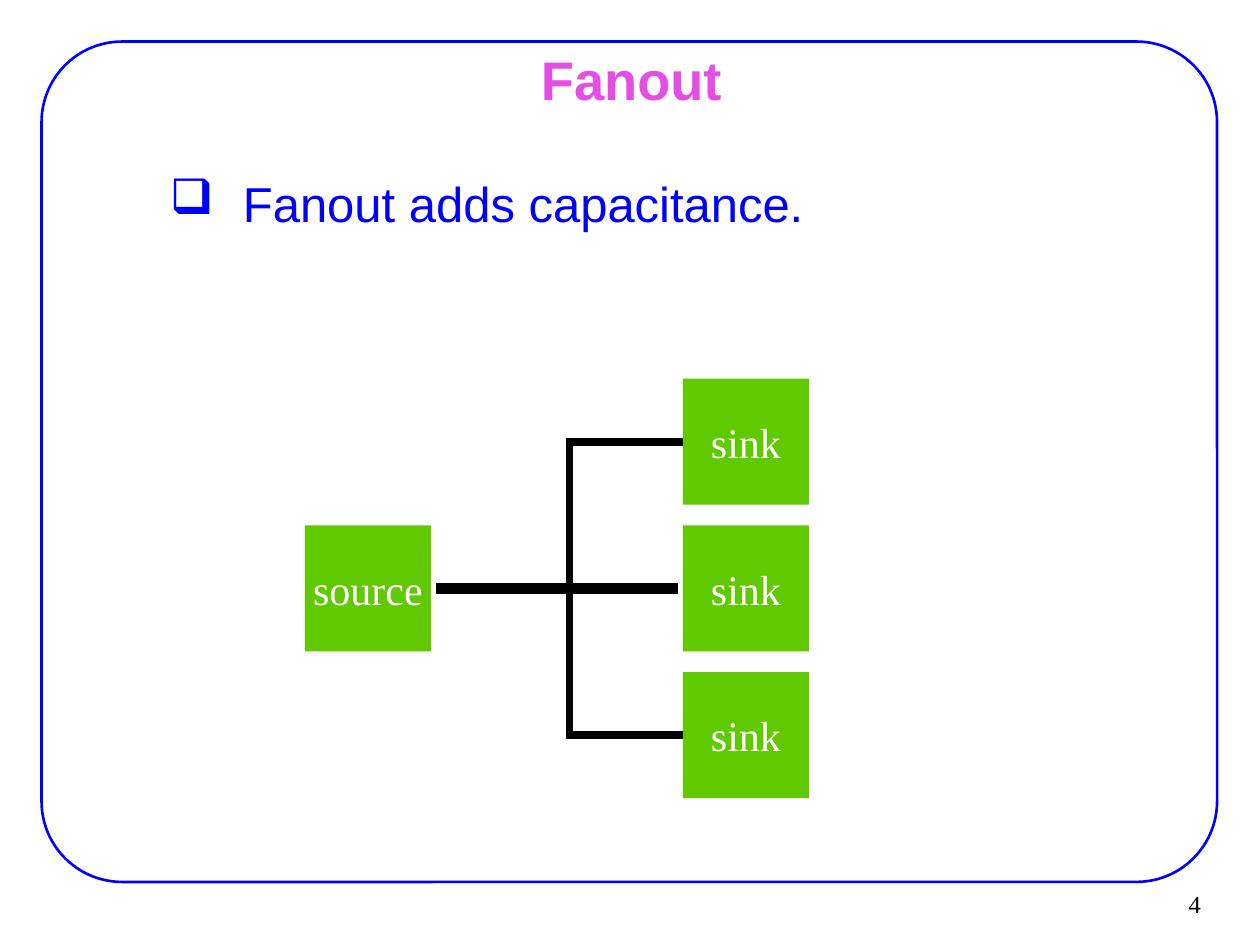
from dataclasses import dataclass

from lxml import etree
from pptx import Presentation
from pptx.dml.color import RGBColor
from pptx.enum import shapes, text
from pptx.oxml import ns
from pptx.util import Inches, Pt

BLUE = RGBColor(0x00, 0x00, 0xFF)
PINK = RGBColor(0xE4, 0x4E, 0xE4)
GREEN = RGBColor(0x60, 0xC9, 0x00)
WHITE = RGBColor(0xFF, 0xFF, 0xFF)
BLACK = RGBColor(0x00, 0x00, 0x00)

SIDE = 1.0
SINK_X = 5.42
MID_Y = 4.67
STEP = 1.165
FORK_X = 4.52


@dataclass
class Node:
    label: str
    left: float
    mid: float


def style(frame, size: float, font: str, color: RGBColor, align) -> None:
    para = frame.paragraphs[0]
    para.alignment = align
    for run in para.runs:
        run.font.size = Pt(size)
        run.font.name = font
        run.font.color.rgb = color


def draw_node(slide, node: Node) -> None:
    box = slide.shapes.add_shape(
        shapes.MSO_SHAPE.RECTANGLE, Inches(node.left),
        Inches(node.mid - SIDE / 2), Inches(SIDE), Inches(SIDE))
    box.shadow.inherit = False
    box.fill.solid()
    box.fill.fore_color.rgb = GREEN
    box.line.fill.background()
    frame = box.text_frame
    frame.word_wrap = False
    frame.vertical_anchor = text.MSO_ANCHOR.MIDDLE
    frame.text = node.label
    style(frame, 24, "Times New Roman", WHITE, text.PP_ALIGN.CENTER)


def draw_wire(slide, start: float, end: float) -> None:
    wire = slide.shapes.add_connector(
        shapes.MSO_CONNECTOR.STRAIGHT, Inches(start), Inches(MID_Y),
        Inches(end), Inches(MID_Y))
    wire.line.color.rgb = BLACK
    wire.line.width = Pt(6)
    etree.SubElement(wire.element.spPr, ns.qn("a:effectLst"))


def draw_fork(slide) -> None:
    top, base = Inches(MID_Y - STEP), Inches(MID_Y + STEP)
    edge, stem = Inches(SINK_X), Inches(FORK_X)
    pen = slide.shapes.build_freeform(edge, top)
    pen.add_line_segments([(stem, top), (stem, base), (edge, base)], close=False)
    fork = pen.convert_to_shape()
    fork.shadow.inherit = False
    fork.fill.background()
    fork.line.color.rgb = BLACK
    fork.line.width = Pt(4.5)
    etree.SubElement(fork.line._get_or_add_ln(), ns.qn("a:miter"), lim="800000")


def add_bullet(para, mark: str, margin: float, hang: float) -> None:
    props = para._p.get_or_add_pPr()
    props.set("marL", str(Inches(margin)))
    props.set("indent", str(-Inches(hang)))
    etree.SubElement(props, ns.qn("a:buChar"), char=mark)


def main() -> None:
    deck = Presentation()
    deck.slide_width, deck.slide_height = Inches(10), Inches(7.5)
    slide = deck.slides.add_slide(deck.slide_layouts[5])

    # Title
    title = slide.shapes.title
    title.left, title.top = Inches(0.76), Inches(0.44)
    title.width, title.height = Inches(8.5), Inches(0.49)
    title.text_frame.text = "Fanout"
    title.text_frame.vertical_anchor = text.MSO_ANCHOR.BOTTOM
    style(title.text_frame, 31, "Arial", PINK, text.PP_ALIGN.CENTER)
    title.text_frame.paragraphs[0].runs[0].font.bold = True

    # Rounded frame
    frame = slide.shapes.add_shape(
        shapes.MSO_SHAPE.ROUNDED_RECTANGLE, Inches(0.33), Inches(0.33),
        Inches(9.33), Inches(6.67))
    frame.adjustments[0] = 0.096
    frame.shadow.inherit = False
    frame.fill.background()
    frame.line.color.rgb = BLUE
    frame.line.width = Pt(1.5)

    # Page number
    page = slide.shapes.add_textbox(
        Inches(9.02), Inches(6.99), Inches(0.61), Inches(0.37)).text_frame
    page.word_wrap = False
    page.vertical_anchor = text.MSO_ANCHOR.MIDDLE
    page.text = "4"
    style(page, 14, "Times New Roman", BLACK, text.PP_ALIGN.RIGHT)

    # Bullet text
    body = slide.shapes.add_textbox(
        Inches(0.75), Inches(1.33), Inches(8.5), Inches(5.08)).text_frame
    body.word_wrap = True
    body.text = "Fanout adds capacitance."
    style(body, 28, "Arial", BLUE, text.PP_ALIGN.LEFT)
    body.paragraphs[0].space_before = Pt(5.6)
    add_bullet(body.paragraphs[0], "❑", 1.08, 0.58)

    # Source, sinks and the net between them
    draw_node(slide, Node("source", 2.42, MID_Y))
    for row in (-1, 0, 1):
        draw_node(slide, Node("sink", SINK_X, MID_Y + row * STEP))
    draw_wire(slide, 3.46, 4.58)
    draw_wire(slide, 4.54, 5.38)
    draw_fork(slide)


    deck.save("out.pptx")


if __name__ == "__main__":
    main()
